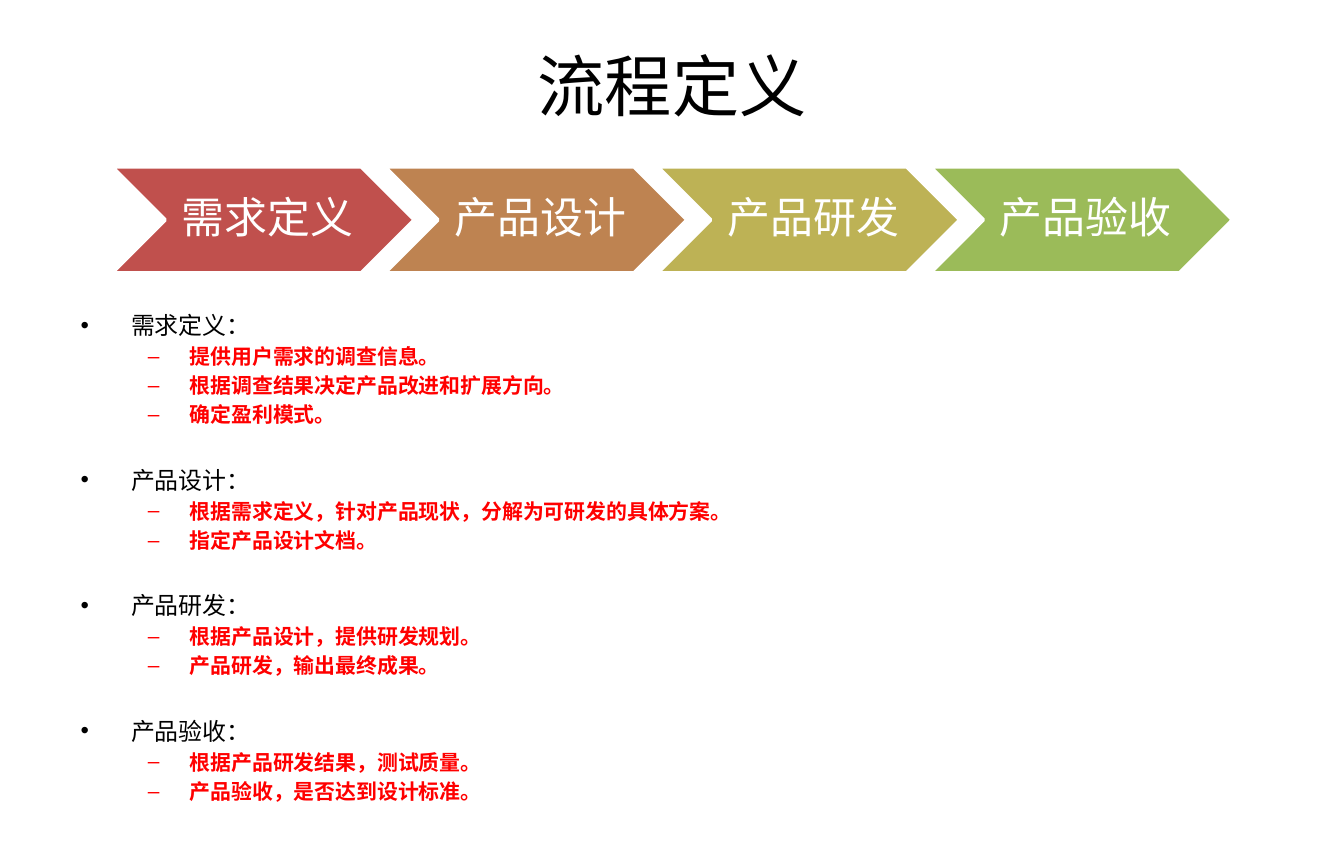
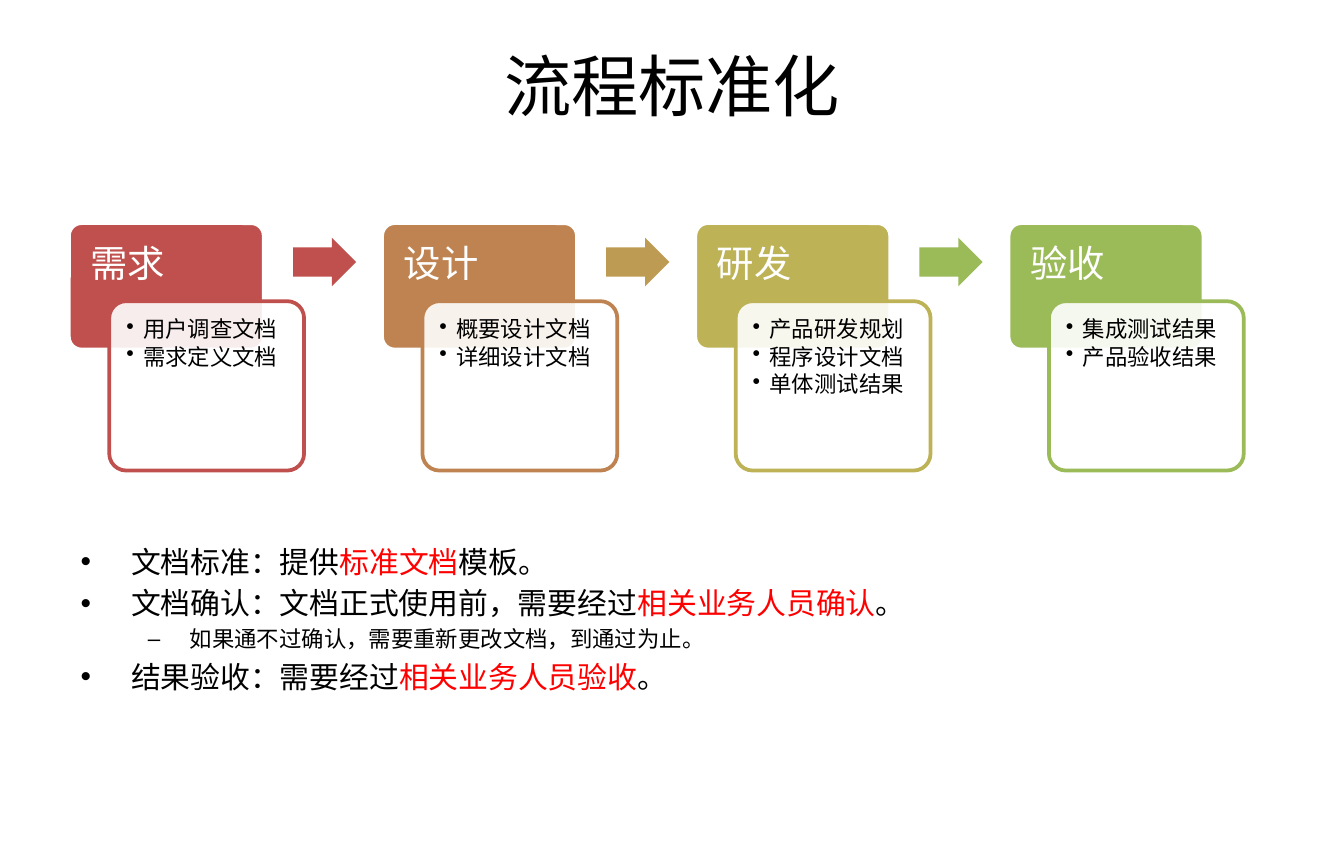
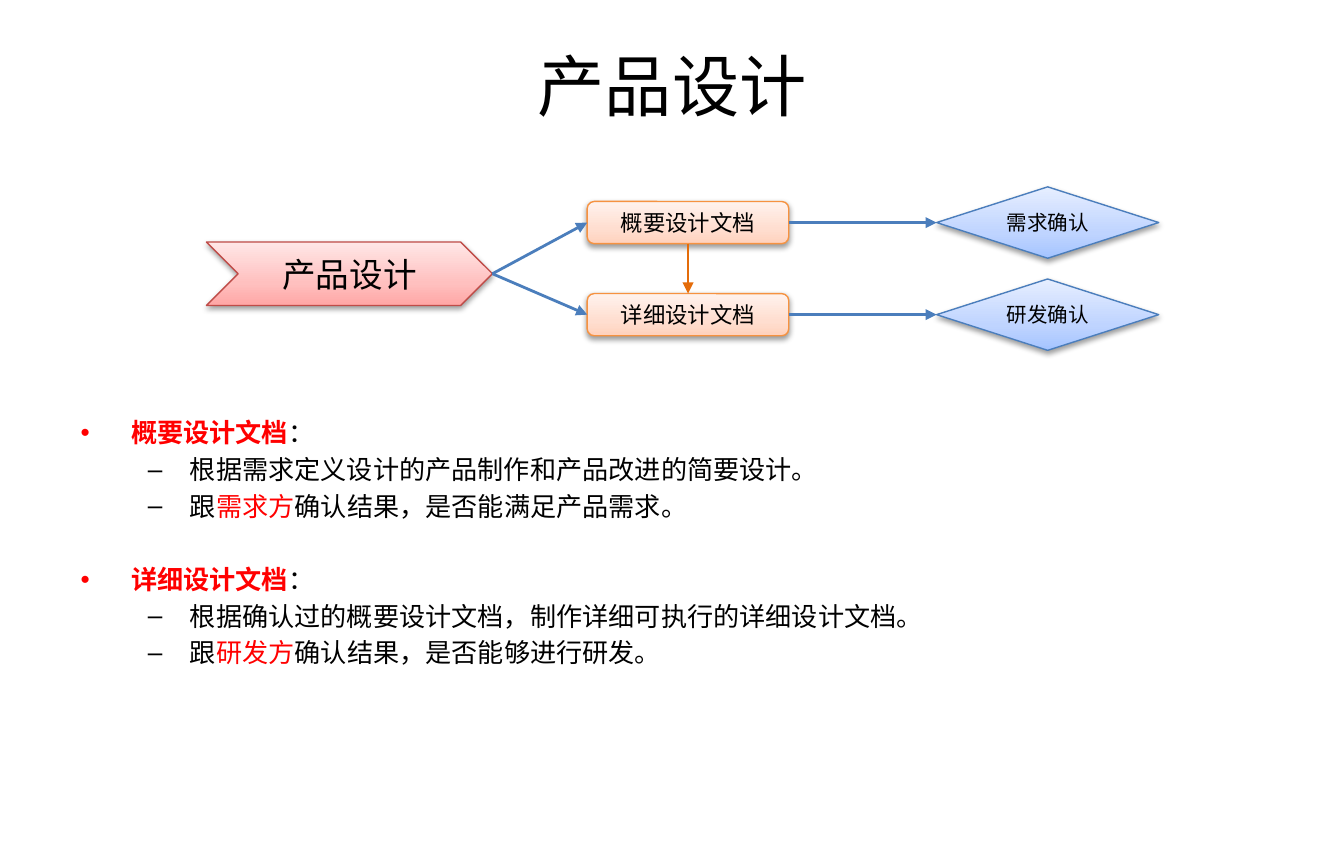
from copy import deepcopy
from dataclasses import dataclass

from pptx import Presentation
from pptx.dml.color import RGBColor
from pptx.enum.shapes import MSO_CONNECTOR, MSO_SHAPE
from pptx.enum.text import MSO_ANCHOR, MSO_AUTO_SIZE, PP_ALIGN
from pptx.oxml.ns import qn
from pptx.oxml.xmlchemy import OxmlElement
from pptx.util import Pt

CHEVRON = MSO_SHAPE.CHEVRON
ROUND = MSO_SHAPE.ROUNDED_RECTANGLE
ARROW = MSO_SHAPE.RIGHT_ARROW
DIAMOND = MSO_SHAPE.DIAMOND
STRAIGHT = MSO_CONNECTOR.STRAIGHT
TOP, MIDDLE = MSO_ANCHOR.TOP, MSO_ANCHOR.MIDDLE
LEFT, CENTER = PP_ALIGN.LEFT, PP_ALIGN.CENTER
SITE_TOP, SITE_LEFT, SITE_BOTTOM, SITE_RIGHT = range(4)


@dataclass(frozen=True)
class Theme:
    font: str = "Calibri"
    alt_font: str = "Arial"
    black: str = "000000"
    white: str = "FFFFFF"
    red: str = "FF0000"
    steps: tuple = ("C0504D", "BE8351", "BDB255", "9BBB59")
    arrows: tuple = ("C0504D", "BD9B53", "9BBB59")
    blue: str = "4B7EBC"
    orange: str = "E46C0A"
    # Soft looks: outline, then gradient from bottom to top
    rose: tuple = ("BF4C48", "FFA6A5", "FFC0BF", "FFE7E7")
    peach: tuple = ("F69240", "FFD2BD", "FFDED0", "FFF2ED")
    sky: tuple = ("4B7EBC", "A4C4FF", "BFD4FF", "E6EEFF")
    title: float = 36
    step: float = 23
    card: float = 20
    flow: float = 18
    note: float = 12
    check: float = 11


T = Theme()


def rgb(code):
    return RGBColor.from_string(code)


def style(run, size, color, bold=None, font=T.font):
    run.font.name = font
    run.font.size = Pt(size)
    run.font.bold = bold
    run.font.color.rgb = rgb(color)


def node(parent, tag, **attrs):
    child = OxmlElement(tag)
    for key, value in attrs.items():
        child.set(key, str(value))
    parent.append(child)
    return child


def place(shape, left, top, width, height):
    shape.left, shape.top = Pt(left), Pt(top)
    shape.width, shape.height = Pt(width), Pt(height)


def start(deck, title):
    """Add a slide with its title set."""
    slide = deck.slides.add_slide(deck.slide_layouts[1])
    head = slide.shapes.title
    place(head, 36, 18.5, 648, 54)
    frame = head.text_frame
    frame.text = title
    frame.auto_size = MSO_AUTO_SIZE.NONE
    style(frame.paragraphs[0].runs[0], T.title, T.black)
    return slide


def outline(slide, top, height, sizes, items, bold=None, gap=False, font=T.font):
    """Fill the body with (level, text) items; *marked* text is red, and
    bold too on the level named by bold. A gap sets heads a line apart."""
    body = slide.placeholders[1]
    place(body, 36, top, 648, height)
    frame = body.text_frame
    frame.auto_size = MSO_AUTO_SIZE.NONE
    for i, (level, text) in enumerate(items):
        para = frame.add_paragraph() if i else frame.paragraphs[0]
        size = sizes[level]
        para.level = level
        extra = 1.4 * size if gap and i and level == 0 else 0
        para.space_before = Pt(0.2 * size + extra)
        for j, part in enumerate(text.split("*")):
            if part:
                run = para.add_run()
                run.text = part
                marked = j % 2 == 1
                style(run, size, T.red if marked else T.black,
                      marked and level == bold, font)


def block(slide, kind, box, fill=None, line=None, width=2, adj=()):
    shape = slide.shapes.add_shape(kind, *(Pt(v) for v in box))
    shape.shadow.inherit = False
    for i, value in enumerate(adj):
        shape.adjustments[i] = value
    if fill:
        shape.fill.solid()
        shape.fill.fore_color.rgb = rgb(fill)
    if line:
        shape.line.color.rgb = rgb(line)
        shape.line.width = Pt(width)
    else:
        shape.line.fill.background()
    return shape


def label(shape, lines, size, color, align=CENTER, anchor=MIDDLE,
          inset=(7.2, 3.6, 7.2, 3.6), spacing=None, after=0):
    frame = shape.text_frame
    frame.word_wrap = True
    frame.vertical_anchor = anchor
    (frame.margin_left, frame.margin_top,
     frame.margin_right, frame.margin_bottom) = (Pt(v) for v in inset)
    frame.text = "\n".join(lines)
    for para in frame.paragraphs:
        para.alignment = align
        para.line_spacing = spacing
        para.space_after = Pt(after)
        style(para.runs[0], size, color)


def bullets(shape, indent):
    for para in shape.text_frame.paragraphs:
        props = para._p.get_or_add_pPr()
        props.set("marL", str(Pt(indent)))
        props.set("indent", str(Pt(-indent)))
        node(props, "a:buChar", char="•")


def fade(shape, percent):
    color = shape._element.spPr.find(qn("a:solidFill"))[0]
    node(color, "a:alpha", val=percent * 1000)


def soft(slide, kind, box, look, text, size):
    """Add a labelled shape with a gradient and a soft shadow."""
    line, *colors = look
    shape = block(slide, kind, box, line=line, width=0.75)
    shape.fill.gradient()
    shape.fill.gradient_angle = 90
    props = shape._element.spPr
    stops = props.find(qn("a:gradFill")).find(qn("a:gsLst"))
    stops.append(deepcopy(stops[0]))
    for stop, pos, color in zip(shape.fill.gradient_stops, (0, 0.35, 1), colors):
        stop.position = pos
        stop.color.rgb = rgb(color)
    shade = node(props.find(qn("a:effectLst")), "a:outerShdw", blurRad=Pt(3.1),
                 dist=Pt(1.6), dir=90 * 60000, rotWithShape=0)
    node(node(shade, "a:srgbClr", val=T.black), "a:alpha", val=38000)
    label(shape, [text], size, T.black)
    return shape


def link(slide, first, last, color=T.blue, sites=(SITE_RIGHT, SITE_LEFT)):
    line = slide.shapes.add_connector(STRAIGHT, 0, 0, 0, 0)
    line.begin_connect(first, sites[0])
    line.end_connect(last, sites[1])
    line.line.color.rgb = rgb(color)
    line.line.width = Pt(1.5)
    node(line.line._get_or_add_ln(), "a:tailEnd", type="triangle")
    node(line._element.spPr, "a:effectLst")


def card(slide, left, color, name, notes):
    head = block(slide, ROUND, (left, 119.5, 104.4, 67.7), color, T.white, adj=[0.1])
    label(head, [name], T.card, T.white, LEFT, TOP, (9.6, 9.6, 9.6, 4), 0.9, 7)
    box = block(slide, ROUND, (left + 21.6, 161.3, 104.4, 90.7), T.white, color,
                adj=[0.1])
    fade(box, 90)
    label(box, notes, T.note, T.black, LEFT, TOP, (6.5,) * 4, 0.9, 1.8)
    bullets(box, 9)


def define(deck):
    slide = start(deck, "流程定义")
    tasks = {
        "需求定义": ["提供用户需求的调查信息。",
                 "根据调查结果决定产品改进和扩展方向。",
                 "确定盈利模式。"],
        "产品设计": ["根据需求定义，针对产品现状，分解为可研发的具体方案。",
                 "指定产品设计文档。"],
        "产品研发": ["根据产品设计，提供研发规划。",
                 "产品研发，输出最终成果。"],
        "产品验收": ["根据产品研发结果，测试质量。",
                 "产品验收，是否达到设计标准。"],
    }
    items = []
    for i, (name, lines) in enumerate(tasks.items()):
        step = block(slide, CHEVRON, (60 + 146.1 * i, 89.3, 162, 56.9),
                     T.steps[i], T.white)
        label(step, [name], T.step, T.white, inset=(7.2, 2.2, 2.2, 2.2), spacing=0.9)
        items.append((0, f"{name}："))
        items += [(1, f"*{line}*") for line in lines]
    outline(slide, 162.7, 238.3, (12.8, 11.2), items, bold=1, gap=True)


def unify(deck):
    slide = start(deck, "流程标准化")
    papers = {
        "需求": ["用户调查文档", "需求定义文档"],
        "设计": ["概要设计文档", "详细设计文档"],
        "研发": ["产品研发规划", "程序设计文档", "单体测试结果"],
        "验收": ["集成测试结果", "产品验收结果"],
    }
    pitch = 167.8
    for i, (name, notes) in enumerate(papers.items()):
        card(slide, 36.9 + pitch * i, T.steps[i], name, notes)
    for i, color in enumerate(T.arrows):
        block(slide, ARROW, (157 + pitch * i, 127.3, 33.8, 26), color, adj=[0.6, 0.5])
    outline(slide, 287.3, 113, (16, 12), [
        (0, "文档标准：提供*标准文档*模板。"),
        (0, "文档确认：文档正式使用前，需要经过*相关业务人员确认*。"),
        (1, "如果通不过确认，需要重新更改文档，到通过为止。"),
        (0, "结果验收：需要经过*相关业务人员验收*。"),
    ], font=T.alt_font)


def design(deck):
    slide = start(deck, "产品设计")
    outline(slide, 219.6, 181.4, (14, 14), [
        (0, "*概要设计文档*："),
        (1, "根据需求定义设计的产品制作和产品改进的简要设计。"),
        (1, "跟*需求方*确认结果，是否能满足产品需求。"),
        (0, "*详细设计文档*："),
        (1, "根据确认过的概要设计文档，制作详细可执行的详细设计文档。"),
        (1, "跟*研发方*确认结果，是否能够进行研发。"),
    ], bold=0, gap=True)
    root = soft(slide, CHEVRON, (110.6, 129.6, 153.2, 34), T.rose, "产品设计", T.flow)
    papers = []
    for i, (name, check) in enumerate([("概要设计文档", "需求确认"),
                                       ("详细设计文档", "研发确认")]):
        mid = 119.2 + 49.3 * i
        paper = soft(slide, ROUND, (314.6, mid - 11.3, 108, 22.6), T.peach, name, T.note)
        gate = soft(slide, DIAMOND, (501.8, mid - 19.1, 119, 38.2), T.sky, check, T.check)
        link(slide, root, paper)
        link(slide, paper, gate)
        papers.append(paper)
    link(slide, *papers, T.orange, (SITE_BOTTOM, SITE_TOP))


def main():
    deck = Presentation()
    deck.slide_width, deck.slide_height = Pt(720), Pt(461.6)
    define(deck)
    unify(deck)
    design(deck)
    deck.save("out.pptx")


if __name__ == "__main__":
    main()
